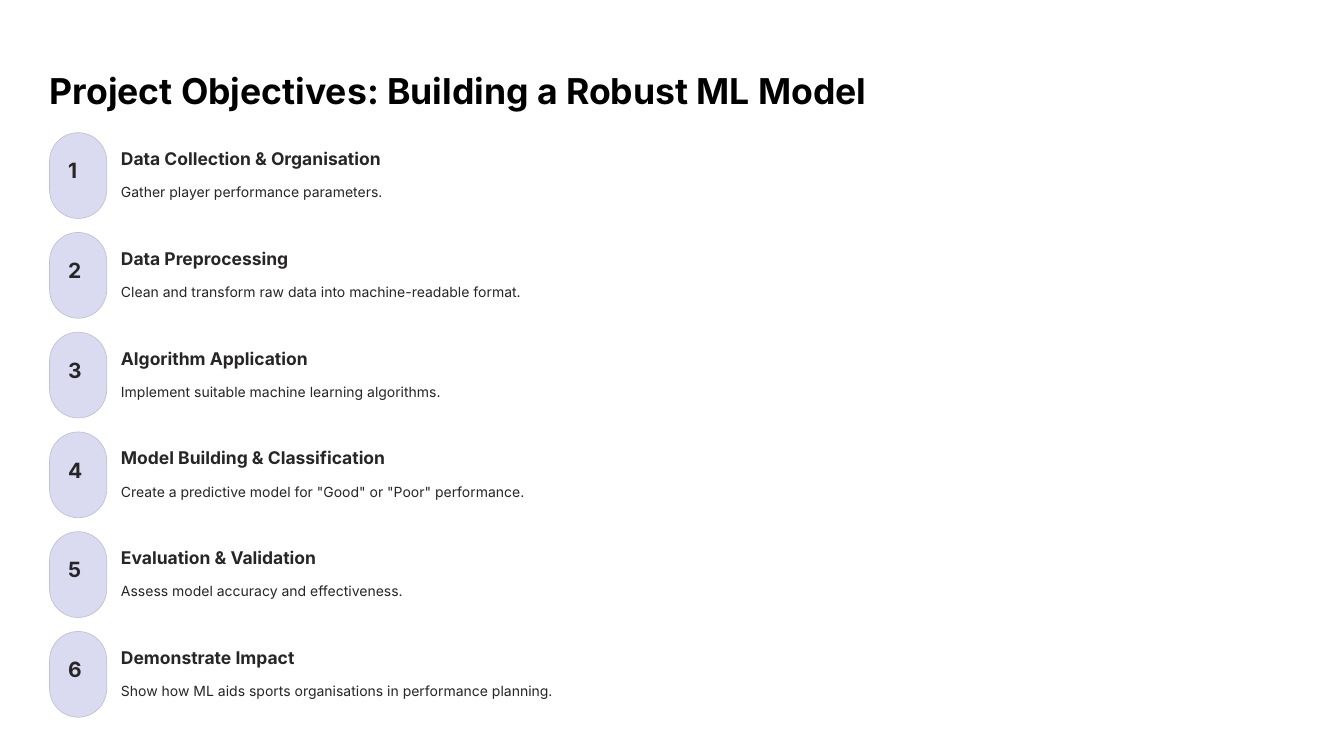
import pptx
import pptx.dml.color
import pptx.enum.shapes
import pptx.enum.text
import pptx.util

Pt = pptx.util.Pt
COLOURS = {"paper": "FFFFFF", "title": "000000", "text": "272525",
           "badge": "DADBF1", "edge": "C0C1D7"}
OBJECTIVES = [
    ("Data Collection & Organisation", "Gather player performance parameters."),
    ("Data Preprocessing", "Clean and transform raw data into machine-readable format."),
    ("Algorithm Application", "Implement suitable machine learning algorithms."),
    ("Model Building & Classification",
     'Create a predictive model for "Good" or "Poor" performance.'),
    ("Evaluation & Validation", "Assess model accuracy and effectiveness."),
    ("Demonstrate Impact",
     "Show how ML aids sports organisations in performance planning."),
]
FIRST_TOP, PITCH = 113.75, 85.5
LEFT, TEXT_LEFT = 42.5, 103.7


def colour(name):
    return pptx.dml.color.RGBColor.from_string(COLOURS[name])


def write(box, text, size, spacing, ink="text", bold=True):
    frame = box.text_frame
    frame.margin_left = frame.margin_right = frame.margin_top = frame.margin_bottom = 0
    frame.word_wrap = False
    frame.auto_size = pptx.enum.text.MSO_AUTO_SIZE.NONE
    frame.vertical_anchor = pptx.enum.text.MSO_ANCHOR.TOP
    para = frame.paragraphs[0]
    para.alignment = pptx.enum.text.PP_ALIGN.LEFT
    para.line_spacing = Pt(spacing)
    para.space_before = Pt(0)
    span = para.add_run()
    span.text = text
    span.font.name = "Inter"
    span.font.size = Pt(size)
    span.font.bold = bold
    span.font.color.rgb = colour(ink)


deck = pptx.Presentation()
deck.slide_width, deck.slide_height = Pt(1152), Pt(648)
page = deck.slides.add_slide(deck.slide_layouts[5])
page.background.fill.solid()
page.background.fill.fore_color.rgb = colour("paper")

# Title
title = page.shapes.title
title.left, title.top, title.width, title.height = Pt(LEFT), Pt(57.6), Pt(701), Pt(38)
write(title, "Project Objectives: Building a Robust ML Model", 30.5, 38, "title")

# Numbered objectives
for index, (heading, detail) in enumerate(OBJECTIVES):
    top = FIRST_TOP + index * PITCH

    badge = page.shapes.add_shape(
        pptx.enum.shapes.MSO_SHAPE.ROUNDED_RECTANGLE,
        Pt(LEFT), Pt(top), Pt(49), Pt(73.5))
    badge.adjustments[0] = 0.5
    badge.shadow.inherit = False
    badge.fill.solid()
    badge.fill.fore_color.rgb = colour("badge")
    badge.line.color.rgb = colour("edge")
    badge.line.width = Pt(0.6)

    number = page.shapes.add_textbox(Pt(58.3), Pt(top + 25.2), Pt(18), Pt(23))
    write(number, str(index + 1), 18, 18)

    label = page.shapes.add_textbox(Pt(TEXT_LEFT), Pt(top + 12.25), Pt(230), Pt(19))
    write(label, heading, 15, 19)

    description = page.shapes.add_textbox(
        Pt(TEXT_LEFT), Pt(top + 38.75), Pt(1006), Pt(19.5))
    write(description, detail, 12, 19.5, bold=False)

deck.save("out.pptx")
